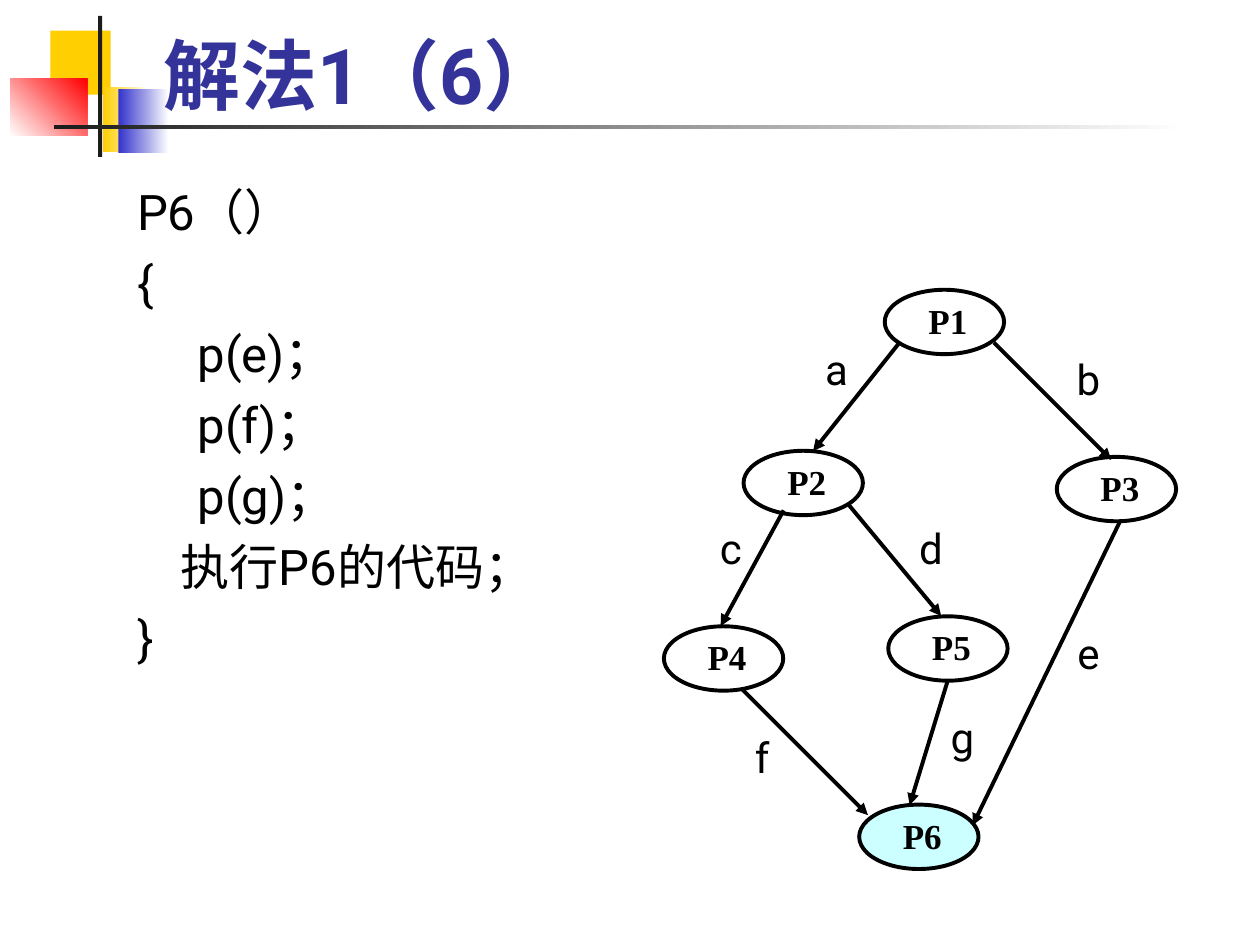
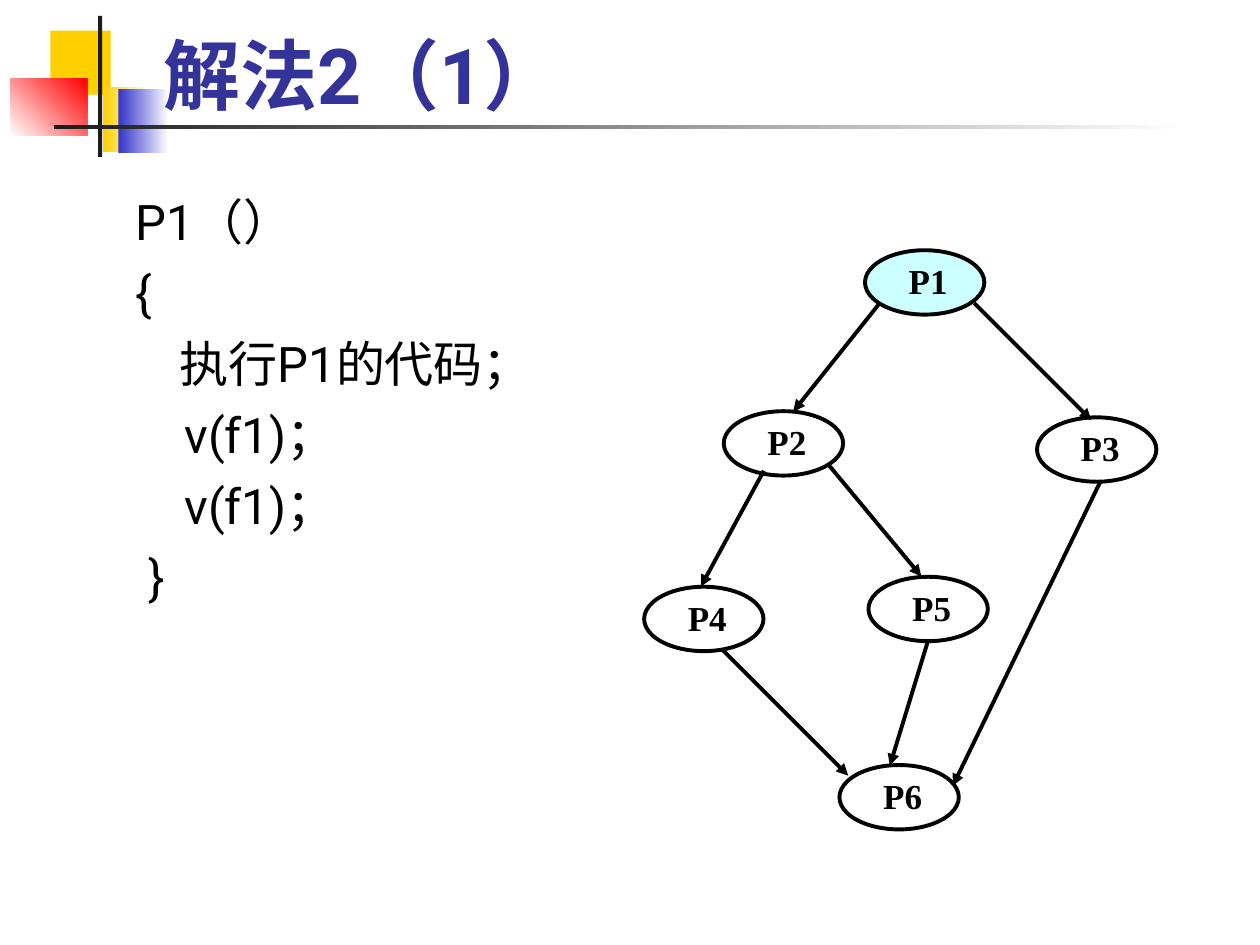
from dataclasses import dataclass

from lxml import etree
from pptx import Presentation
from pptx.dml.color import RGBColor
from pptx.enum import shapes, text
from pptx.oxml.ns import qn
from pptx.util import Pt


@dataclass(frozen=True)
class Theme:
    title: str = "333399"
    ink: str = "000000"
    paper: str = "FFFFFF"
    active: str = "CCFFFF"
    yellow: str = "FFCF01"
    blue: str = "3333CC"
    red: str = "FF0000"
    rule: str = "1C1C1C"
    sans: str = "Roboto"
    serif: str = "Times New Roman"
    title_size: float = 44
    code_size: float = 28
    edge_size: float = 24
    node_size: float = 20
    stroke: float = 2.25


THEME = Theme()

# left, top, width, height, gradient colours (one colour means solid), angle
DECORATIONS = [
    (28.8, 17.5, 34.5, 36.6, [THEME.yellow], 0),
    (59, 49.7, 26, 37.4, [THEME.yellow, THEME.paper], 0),
    (67.7, 51, 28.8, 36.6, [THEME.blue, THEME.paper], 0),
    (5.8, 45, 44, 32.6, [THEME.paper, THEME.red], 45),
    (56, 9, 2.4, 80.6, [THEME.rule], 0),
    (31, 71.3, 648, 2.4, [THEME.rule, THEME.paper], 0),
]

NODE_WIDTH, NODE_HEIGHT = 68.2, 36.8
NODES = {
    "P1": (505.6, 165.6),
    "P2": (424.9, 257.6),
    "P3": (603.9, 261.1),
    "P4": (379.4, 357.9),
    "P5": (507.6, 352.2),
    "P6": (491, 459.8),
}

# edge name: start, end, top left corner of its label
LABEL_WIDTH, LABEL_HEIGHT = 36, 30
EDGES = {
    "a": ((514, 195.8), (464.6, 257.8), (460.1, 196)),
    "b": ((568, 195.8), (635, 262.8), (604, 201.6)),
    "c": ((447.8, 291.6), (411.8, 357.8), (399.6, 298)),
    "d": ((484.6, 288), (537.8, 352), (514, 298)),
    "e": ((640, 298), (555.8, 471.6), (604, 357.8)),
    "f": ((424, 393.8), (496, 465.8), (417.6, 417.6)),
    "g": ((541.4, 389.5), (519.8, 460.1), (532, 406)),
}

SLIDES = [
    {
        "title": "解法1（6）",
        "code": ["P6（）", "{", "     p(e)；", "     p(f)；", "     p(g)；",
                 "    执行P6的代码；", "}"],
        "code_at": (71.3, 100, 255, 307),
        "graph_shift": (0, 0),
        "active": "P6",
        "edge_labels": True,
    },
    {
        "title": "解法2（1）",
        "code": ["P1（）", "{", "    执行P1的代码；", "    v(f1)；",
                 "    v(f1)；", " }"],
        "code_at": (70.6, 105.8, 288, 306),
        "graph_shift": (-11.3, -22.6),
        "active": "P1",
        "edge_labels": False,
    },
]


def write(box, lines, font, size, color, bold=False,
          align=text.PP_ALIGN.LEFT, space_before=0):
    """Fill a shape with one paragraph per line, all in one style."""
    frame = box.text_frame
    frame.auto_size = text.MSO_AUTO_SIZE.NONE
    for index, line in enumerate(lines):
        para = frame.add_paragraph() if index else frame.paragraphs[0]
        para.text = line
        para.alignment = align
        if index:
            para.space_before = Pt(space_before)
        para.font.name = font
        para.font.size = Pt(size)
        para.font.bold = bold
        para.font.color.rgb = RGBColor.from_string(color)
    return frame


def clear_insets(frame):
    frame.margin_left = frame.margin_right = 0
    frame.margin_top = frame.margin_bottom = 0
    frame.word_wrap = False


deck = Presentation()
deck.slide_width, deck.slide_height = Pt(720), Pt(540)

for content in SLIDES:
    page = deck.slides.add_slide(deck.slide_layouts[5])

    # Title, with the decoration behind it
    title = page.shapes.title
    title.left, title.top, title.width, title.height = map(
        Pt, (86.4, 12.2, 613.4, 59.8))
    frame = write(title, [content["title"]], THEME.sans, THEME.title_size,
                  THEME.title, bold=True)
    frame.vertical_anchor = text.MSO_ANCHOR.BOTTOM

    for *place, colors, angle in DECORATIONS:
        block = page.shapes.add_shape(
            shapes.MSO_SHAPE.RECTANGLE, *map(Pt, place))
        block.shadow.inherit = False
        block.line.fill.background()
        if len(colors) == 1:
            block.fill.solid()
            block.fill.fore_color.rgb = RGBColor.from_string(colors[0])
        else:
            block.fill.gradient()
            block.fill.gradient_angle = angle
            for stop, color in zip(block.fill.gradient_stops, colors):
                stop.color.rgb = RGBColor.from_string(color)
        title.element.addprevious(block.element)

    # Pseudocode
    code = page.shapes.add_textbox(*map(Pt, content["code_at"]))
    code.text_frame.word_wrap = True
    write(code, content["code"], THEME.sans, THEME.code_size, THEME.ink,
          space_before=7)

    # Precedence graph
    shift_x, shift_y = content["graph_shift"]
    for name, (x, y) in NODES.items():
        node = page.shapes.add_shape(
            shapes.MSO_SHAPE.OVAL, Pt(x + shift_x), Pt(y + shift_y),
            Pt(NODE_WIDTH), Pt(NODE_HEIGHT))
        node.shadow.inherit = False
        node.fill.solid()
        node.fill.fore_color.rgb = RGBColor.from_string(
            THEME.active if name == content["active"] else THEME.paper)
        node.line.color.rgb = RGBColor.from_string(THEME.ink)
        node.line.width = Pt(THEME.stroke)
        frame = write(node, [name], THEME.serif, THEME.node_size, THEME.ink,
                      bold=True)
        clear_insets(frame)
        frame.word_wrap = True
        frame.margin_left = Pt(15)
        frame.vertical_anchor = text.MSO_ANCHOR.TOP

    for name, (start, end, label_at) in EDGES.items():
        arrow = page.shapes.add_connector(
            shapes.MSO_CONNECTOR.STRAIGHT,
            Pt(start[0] + shift_x), Pt(start[1] + shift_y),
            Pt(end[0] + shift_x), Pt(end[1] + shift_y))
        arrow.line.color.rgb = RGBColor.from_string(THEME.ink)
        arrow.line.width = Pt(THEME.stroke)
        etree.SubElement(arrow.line._get_or_add_ln(), qn("a:tailEnd"),
                         type="triangle")
        etree.SubElement(arrow.element.spPr, qn("a:effectLst"))

        if content["edge_labels"]:
            label = page.shapes.add_textbox(
                *map(Pt, (*label_at, LABEL_WIDTH, LABEL_HEIGHT)))
            frame = write(label, [name], THEME.sans, THEME.edge_size,
                          THEME.ink, align=text.PP_ALIGN.CENTER)
            clear_insets(frame)
            frame.vertical_anchor = text.MSO_ANCHOR.MIDDLE

deck.save("out.pptx")
